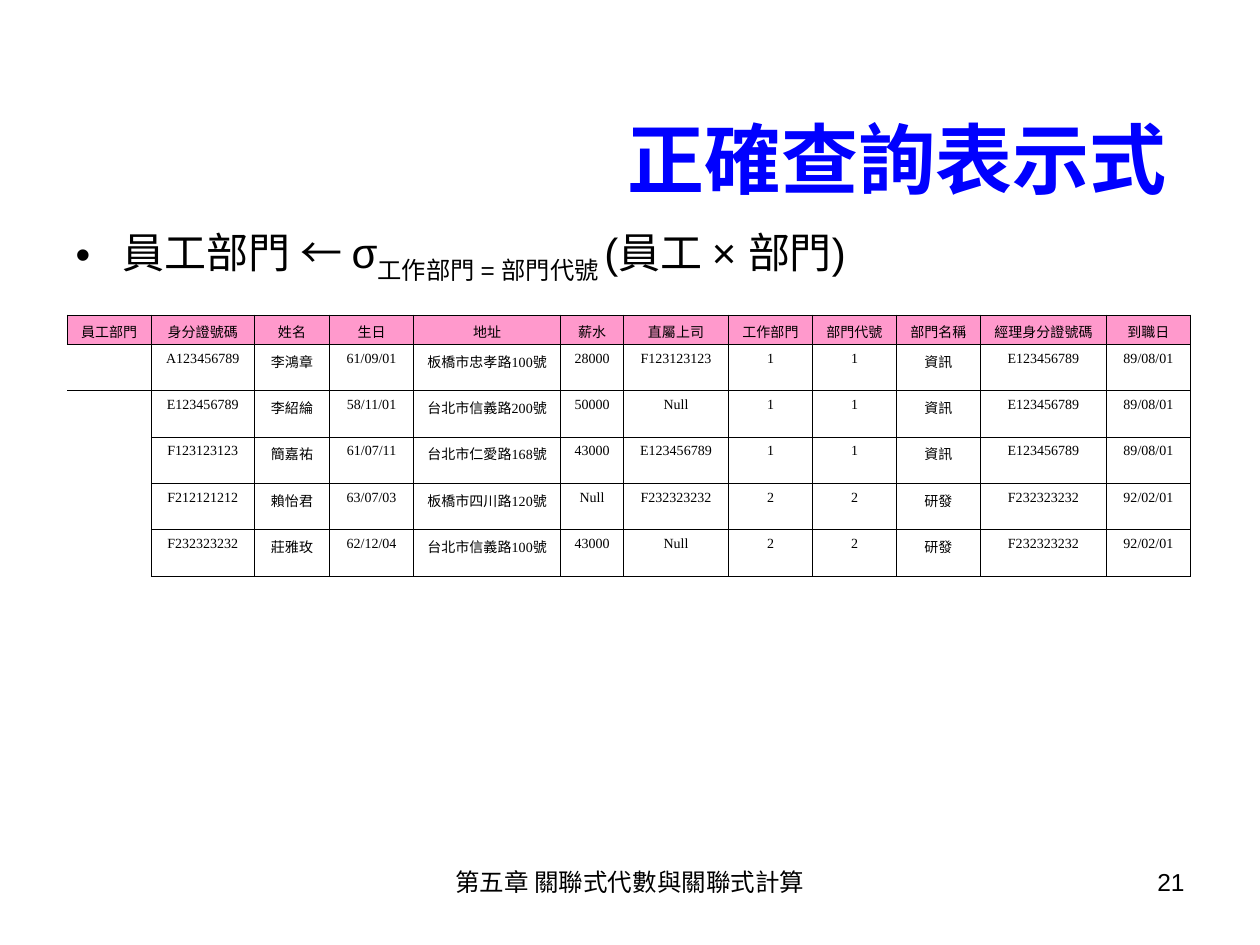
"""Build the slide on the correct query expression with its result table."""
import pptx
import pptx.dml.color
import pptx.enum.text
import pptx.oxml
import pptx.oxml.ns
import pptx.util
from lxml import etree

Pt = pptx.util.Pt
ALIGN = pptx.enum.text.PP_ALIGN
COLORS = {"text": "000000", "title": "0000FF", "header": "FF99CC"}
HANGING = Pt(27)
NS = pptx.oxml.ns.nsdecls("a")


def style(paragraph, size, align, font="Arial", color="text", bold=False):
    paragraph.alignment = align
    paragraph.font.size = Pt(size)
    paragraph.font.name = font
    paragraph.font.bold = bold
    paragraph.font.color.rgb = pptx.dml.color.RGBColor.from_string(COLORS[color])


def hang(paragraph):
    properties = paragraph._p.get_or_add_pPr()
    properties.set("marL", str(HANGING))
    properties.set("indent", str(-HANGING))
    return properties


deck = pptx.Presentation()
deck.slide_width, deck.slide_height = Pt(720), Pt(540)
slide = deck.slides.add_slide(deck.slide_layouts[1])

title, expression = slide.placeholders
title.left, title.top, title.width, title.height = Pt(36), Pt(66), Pt(648), Pt(48)
title.text_frame.auto_size = pptx.enum.text.MSO_AUTO_SIZE.NONE
title.text_frame.vertical_anchor = pptx.enum.text.MSO_ANCHOR.MIDDLE
title.text_frame.text = "正確查詢表示式 "
style(title.text_frame.paragraphs[0], 44, ALIGN.RIGHT, color="title", bold=True)

expression.left, expression.top = Pt(36), Pt(126)
expression.width, expression.height = Pt(648), Pt(390)
expression.text_frame.auto_size = pptx.enum.text.MSO_AUTO_SIZE.NONE
formula = expression.text_frame.paragraphs[0]
formula.space_before = Pt(0)
bullet = hang(formula)
for markup in (
    f'<a:buClr {NS}><a:srgbClr val="{COLORS["text"]}"/></a:buClr>',
    f'<a:buFont {NS} typeface="Arial"/>',
    f'<a:buChar {NS} char="•"/>',
):
    bullet.append(pptx.oxml.parse_xml(markup))
style(formula, 24, ALIGN.LEFT)
for part, baseline in (
    ("員工部門 ← σ", 0),
    ("工作部門 = 部門代號 ", -25000),
    ("(員工 × 部門)", 0),
):
    term = formula.add_run()
    term.text = part
    if baseline:
        term.font._element.set("baseline", str(baseline))

for text, left, width, align in (
    ("第五章 關聯式代數與關聯式計算", 246, 228, ALIGN.CENTER),
    ("21", 516, 168, ALIGN.RIGHT),
):
    footer = slide.shapes.add_textbox(Pt(left), Pt(492), Pt(width), Pt(37.5))
    footer.text_frame.word_wrap = True
    footer.text_frame.text = text
    style(footer.text_frame.paragraphs[0], 14, align)

records = [
    ["員工部門", "身分證號碼", "姓名", "生日", "地址", "薪水", "直屬上司",
     "工作部門", "部門代號", "部門名稱", "經理身分證號碼", "到職日"],
    ["", "A123456789", "李鴻章", "61/09/01", "板橋市忠孝路100號", "28000", "F123123123",
     "1", "1", "資訊", "E123456789", "89/08/01"],
    ["", "E123456789", "李紹綸", "58/11/01", "台北市信義路200號", "50000", "Null",
     "1", "1", "資訊", "E123456789", "89/08/01"],
    ["", "F123123123", "簡嘉祐", "61/07/11", "台北市仁愛路168號", "43000", "E123456789",
     "1", "1", "資訊", "E123456789", "89/08/01"],
    ["", "F212121212", "賴怡君", "63/07/03", "板橋市四川路120號", "Null", "F232323232",
     "2", "2", "研發", "F232323232", "92/02/01"],
    ["", "F232323232", "莊雅玫", "62/12/04", "台北市信義路100號", "43000", "Null",
     "2", "2", "研發", "F232323232", "92/02/01"],
]
widths = [48, 59, 43, 48, 84, 36, 60, 48, 48, 48, 72, 48]
heights = [16.5] + [26.5] * 5

employees = slide.shapes.add_table(
    len(records), len(widths), Pt(38.4), Pt(180), Pt(sum(widths)), Pt(sum(heights))
).table
employees.first_row = employees.horz_banding = False
employees._tbl.tblPr.find(pptx.oxml.ns.qn("a:tableStyleId")).text = (
    "{2D5ABB26-0587-4C30-8999-92F81FD0307C}"
)
for column, width in zip(employees.columns, widths):
    column.width = Pt(width)
for row, height in zip(employees.rows, heights):
    row.height = Pt(height)

for row_index, record in enumerate(records):
    for column_index, value in enumerate(record):
        cell = employees.cell(row_index, column_index)
        cell.text = value
        entry = cell.text_frame.paragraphs[0]
        hang(entry)
        style(entry, 8, ALIGN.CENTER, font="Times New Roman")
        sides = ["lnL", "lnR", "lnT", "lnB"]
        if not value:
            sides = ["lnR", "lnT"] if row_index == 1 else ["lnR"]
        borders = cell._tc.get_or_add_tcPr()
        for side in sides:
            line = etree.SubElement(
                borders, pptx.oxml.ns.qn(f"a:{side}"), w=str(Pt(0.45))
            )
            paint = etree.SubElement(line, pptx.oxml.ns.qn("a:solidFill"))
            etree.SubElement(paint, pptx.oxml.ns.qn("a:srgbClr"), val=COLORS["text"])
        if row_index == 0:
            cell.fill.solid()
            cell.fill.fore_color.rgb = pptx.dml.color.RGBColor.from_string(COLORS["header"])
        else:
            cell.fill.background()

deck.save("out.pptx")
